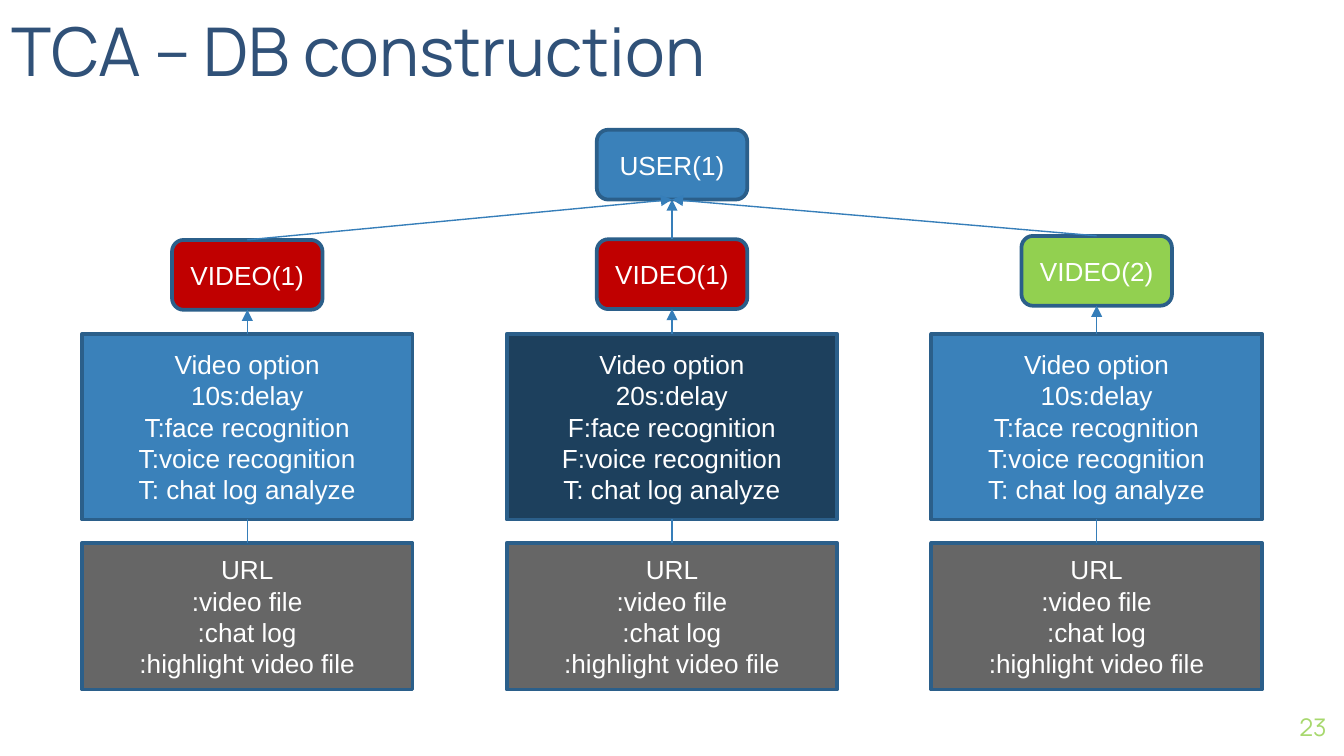
from lxml.etree import SubElement
from pptx import Presentation
from pptx.dml.color import RGBColor
from pptx.enum.shapes import MSO_CONNECTOR, MSO_SHAPE
from pptx.enum.text import MSO_ANCHOR, MSO_AUTO_SIZE, PP_ALIGN
from pptx.oxml.ns import qn
from pptx.util import Emu, Pt

PX = 4572  # EMU per px, 200 px to the inch

WHITE = RGBColor(0xFF, 0xFF, 0xFF)
NAVY = RGBColor(0x30, 0x51, 0x78)
BLUE = RGBColor(0x3A, 0x81, 0xBA)
DARK_BLUE = RGBColor(0x1D, 0x40, 0x5D)
RED = RGBColor(0xC0, 0x00, 0x00)
GREEN = RGBColor(0x92, 0xD0, 0x50)
LIGHT_GREEN = RGBColor(0xA7, 0xD8, 0x6D)
GRAY = RGBColor(0x66, 0x66, 0x66)
BORDER = RGBColor(0x2B, 0x5F, 0x8A)
LINK = RGBColor(0x36, 0x7E, 0xB9)

NODE_WIDTH, NODE_HEIGHT = 224, 104
PANEL_WIDTH = 492
USER_TOP, OPTION_TOP, URL_TOP = 193, 497, 808
OPTION_HEIGHT, URL_HEIGHT = 276, 218
MIDDLE = 1000
COLUMN_STEP = 632

# video label, its top and colour, delay, recognition flag, option colour
VIDEOS = [
    ("VIDEO(1)", 357, RED, "10s", "T", BLUE),
    ("VIDEO(1)", 356, RED, "20s", "F", DARK_BLUE),
    ("VIDEO(2)", 351, GREEN, "10s", "T", BLUE),
]
URL_LINES = ["URL", ":video file", ":chat log", ":highlight video file"]


def px(*lengths):
    return [Emu(length * PX) for length in lengths]


def write(frame, lines, *, size=14, font="Arial", color=WHITE,
          align=PP_ALIGN.CENTER, anchor=MSO_ANCHOR.MIDDLE, inset=None):
    frame.word_wrap = True
    frame.auto_size = MSO_AUTO_SIZE.NONE
    frame.vertical_anchor = anchor
    if inset is not None:
        frame.margin_left = frame.margin_right = Emu(inset)
        frame.margin_top = frame.margin_bottom = Emu(inset)
    frame.text = "\n".join(lines)
    for paragraph in frame.paragraphs:
        paragraph.alignment = align
        paragraph.font.size = Pt(size)
        paragraph.font.name = font
        paragraph.font.color.rgb = color


class Diagram:
    def __init__(self, slide, heading_font="Manrope"):
        self.slide = slide
        self.heading_font = heading_font

    def title(self, text, left, top, width, height):
        title = self.slide.shapes.title
        title.left, title.top, title.width, title.height = px(left, top, width, height)
        write(title.text_frame, [text], size=36, font=self.heading_font, color=NAVY,
              align=PP_ALIGN.LEFT, anchor=MSO_ANCHOR.BOTTOM, inset=0)

    def page_number(self, text, left, top, width, height):
        number = self.slide.shapes.add_textbox(*px(left, top, width, height))
        write(number.text_frame, [text], size=13, font=self.heading_font,
              color=LIGHT_GREEN, align=PP_ALIGN.RIGHT, inset=0)

    def box(self, kind, lines, center, top, width, height, fill):
        box = self.slide.shapes.add_shape(
            kind, *px(center - width // 2, top, width, height))
        box.shadow.inherit = False
        box.fill.solid()
        box.fill.fore_color.rgb = fill
        box.line.color.rgb = BORDER
        box.line.width = Pt(2)
        write(box.text_frame, lines)

    def node(self, label, center, top, fill):
        self.box(MSO_SHAPE.ROUNDED_RECTANGLE, [label], center, top,
                 NODE_WIDTH, NODE_HEIGHT, fill)

    def panel(self, lines, center, top, height, fill):
        self.box(MSO_SHAPE.RECTANGLE, lines, center, top, PANEL_WIDTH, height, fill)

    def link(self, start, end, arrow=True):
        link = self.slide.shapes.add_connector(
            MSO_CONNECTOR.STRAIGHT, *px(*start, *end))
        link.line.color.rgb = LINK
        link.line.width = Pt(0.75)
        if arrow:
            SubElement(link.line._get_or_add_ln(), qn("a:tailEnd"), type="triangle")
        SubElement(link._element.spPr, qn("a:effectLst"))


def main():
    deck = Presentation()
    deck.slide_width, deck.slide_height = px(2000, 1125)
    diagram = Diagram(deck.slides.add_slide(deck.slide_layouts[5]))

    diagram.page_number("23", 1854, 1039, 120, 86)
    diagram.title("TCA – DB construction", 17, 16, 1322, 118)
    diagram.node("USER(1)", MIDDLE, USER_TOP, BLUE)

    for column, (label, top, color, delay, flag, option_color) in enumerate(VIDEOS):
        center = MIDDLE + (column - 1) * COLUMN_STEP
        options = ["Video option", f"{delay}:delay", f"{flag}:face recognition",
                   f"{flag}:voice recognition", "T: chat log analyze"]
        diagram.node(label, center, top, color)
        diagram.panel(options, center, OPTION_TOP, OPTION_HEIGHT, option_color)
        diagram.panel(URL_LINES, center, URL_TOP, URL_HEIGHT, GRAY)
        diagram.link((center, top), (MIDDLE, USER_TOP + NODE_HEIGHT))
        diagram.link((center, OPTION_TOP), (center, top + NODE_HEIGHT))
        diagram.link((center, URL_TOP), (center, OPTION_TOP + OPTION_HEIGHT), arrow=False)

    deck.save("out.pptx")


if __name__ == "__main__":
    main()
